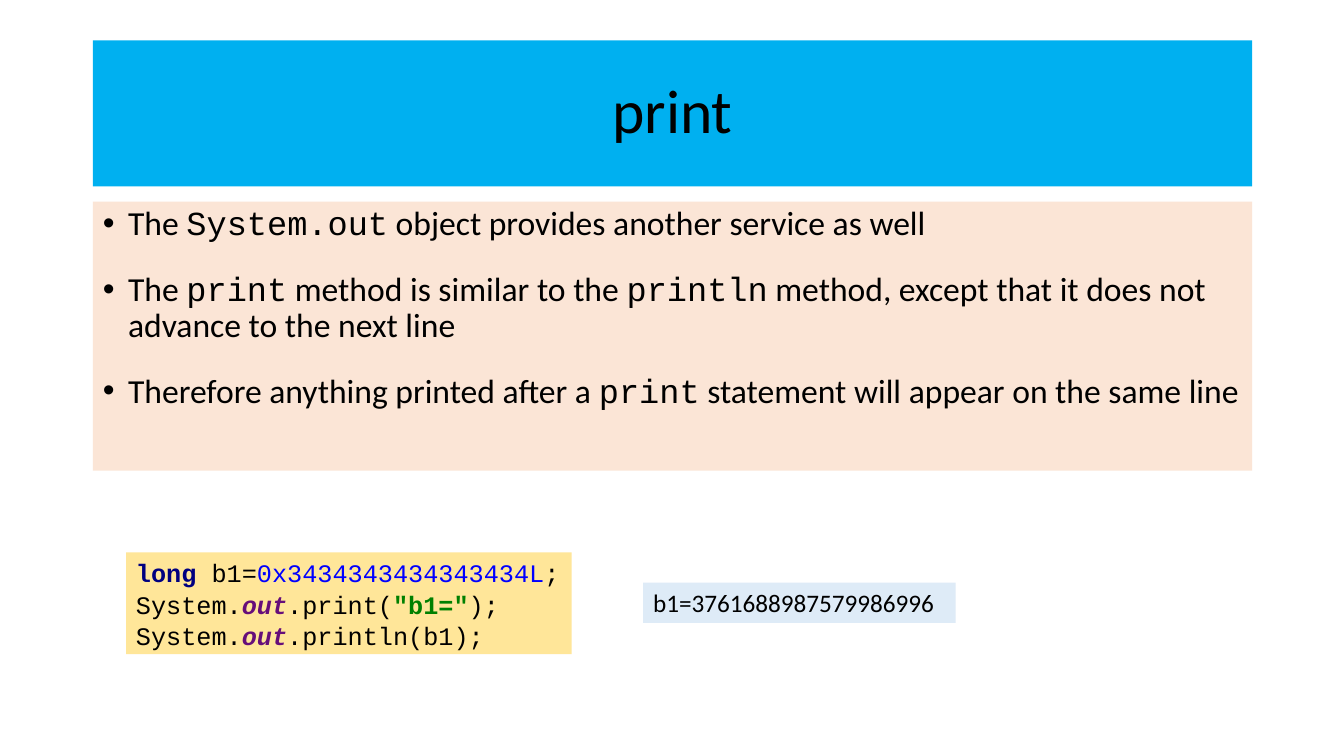
import pptx
import pptx.dml.color
import pptx.enum.text
import pptx.util

PX = 9144
SANS, MONO = "Calibri", "Courier New"
BLACK, NAVY, BLUE, PURPLE, GREEN = "000000", "000080", "0000FF", "660E7A", "008000"

BULLETS = [
    [("The ", SANS), ("System.out", MONO), (" object provides another service as well", SANS)],
    [("The ", SANS), ("print", MONO), (" method is similar to the ", SANS), ("println", MONO),
     (" method, except that it does not advance to the next line", SANS)],
    [("Therefore anything printed after a ", SANS), ("print", MONO),
     (" statement will appear on the same line", SANS)],
]
CODE = [
    [("long ", NAVY, True, False), ("b1=", BLACK, False, False),
     ("0x3434343434343434L", BLUE, False, False), (";", BLACK, False, False)],
    [("System.", BLACK, False, False), ("out", PURPLE, True, True),
     (".print(", BLACK, False, False), ('"b1="', GREEN, True, False), (");", BLACK, False, False)],
    [("System.", BLACK, False, False), ("out", PURPLE, True, True),
     (".println(b1);", BLACK, False, False)],
]


def color(hex_code):
    """Return the colour for a hex string."""
    return pptx.dml.color.RGBColor.from_string(hex_code)


def place(shape, box, fill):
    """Move a shape to a box in px, fill it and fix its text settings."""
    shape.left, shape.top, shape.width, shape.height = (length * PX for length in box)
    shape.fill.solid()
    shape.fill.fore_color.rgb = color(fill)
    shape.text_frame.word_wrap = True
    shape.text_frame.auto_size = pptx.enum.text.MSO_AUTO_SIZE.NONE


def add_run(paragraph, text, size, font=SANS, hex_code=BLACK, bold=False, italic=False):
    """Append one formatted run to a paragraph."""
    run = paragraph.add_run()
    run.text = text
    run.font.name = font
    run.font.size = pptx.util.Pt(size)
    run.font.color.rgb = color(hex_code)
    run.font.bold = bold
    run.font.italic = italic


def add_paragraphs(text_frame, count):
    """Return the given number of paragraphs, using the first existing one."""
    return [text_frame.paragraphs[0]] + [text_frame.add_paragraph() for _ in range(count - 1)]


def fill_title(title, box):
    """Place the title band."""
    place(title, box, "00B0F0")
    title.text_frame.vertical_anchor = pptx.enum.text.MSO_ANCHOR.MIDDLE
    paragraph = title.text_frame.paragraphs[0]
    paragraph.alignment = pptx.enum.text.PP_ALIGN.CENTER
    paragraph.line_spacing = 0.9
    add_run(paragraph, "print", 44)


def fill_body(body, box):
    """Place the bulleted explanation."""
    place(body, box, "FBE5D6")
    paragraphs = add_paragraphs(body.text_frame, len(BULLETS))
    for index, (paragraph, parts) in enumerate(zip(paragraphs, BULLETS)):
        paragraph.line_spacing = 0.9
        paragraph.space_before = pptx.util.Pt(21 if index else 0)
        properties = paragraph._p.get_or_add_pPr()
        properties.set("marL", str(25 * PX))
        properties.set("indent", str(-25 * PX))
        for text, font in parts:
            add_run(paragraph, text, 24, font)


def add_code(slide, box):
    """Add the code sample."""
    shape = slide.shapes.add_textbox(0, 0, 0, 0)
    place(shape, box, "FFE699")
    shape.text_frame.word_wrap = False
    shape.text_frame.vertical_anchor = pptx.enum.text.MSO_ANCHOR.MIDDLE
    for paragraph, parts in zip(add_paragraphs(shape.text_frame, len(CODE)), CODE):
        paragraph.line_spacing = 1.05
        for text, hex_code, bold, italic in parts:
            add_run(paragraph, text, 18, MONO, hex_code, bold, italic)


def add_result(slide, box):
    """Add the printed result."""
    shape = slide.shapes.add_textbox(0, 0, 0, 0)
    place(shape, box, "DEEBF7")
    add_run(shape.text_frame.paragraphs[0], "b1=3761688987579986996", 18)


def main():
    """Build and save the presentation."""
    presentation = pptx.Presentation()
    presentation.slide_width = 1333 * PX
    presentation.slide_height = 750 * PX
    slide = presentation.slides.add_slide(presentation.slide_layouts[1])
    fill_title(slide.shapes.title, (92, 40, 1150, 145))
    fill_body(slide.placeholders[1], (92, 200, 1150, 267))
    add_code(slide, (125, 548, 442, 101))
    add_result(slide, (638, 578, 310, 40))
    presentation.save("out.pptx")


if __name__ == "__main__":
    main()
